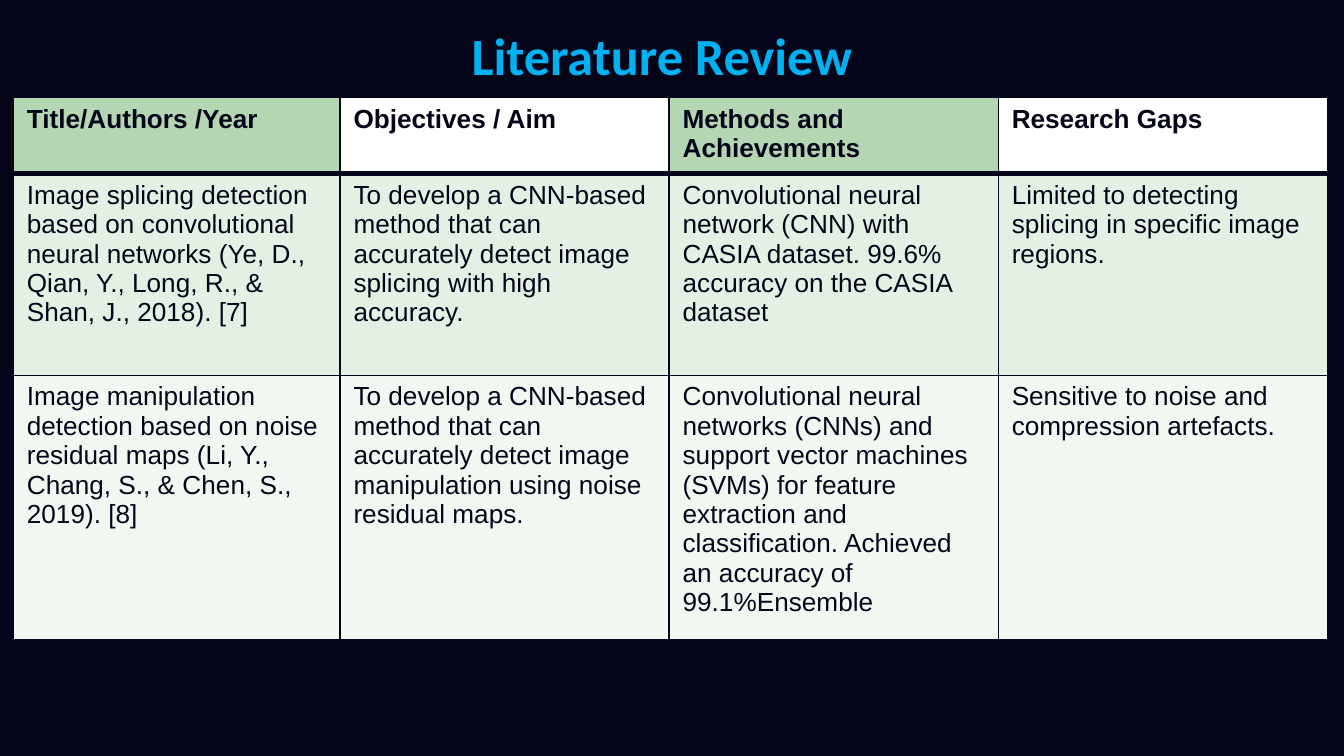
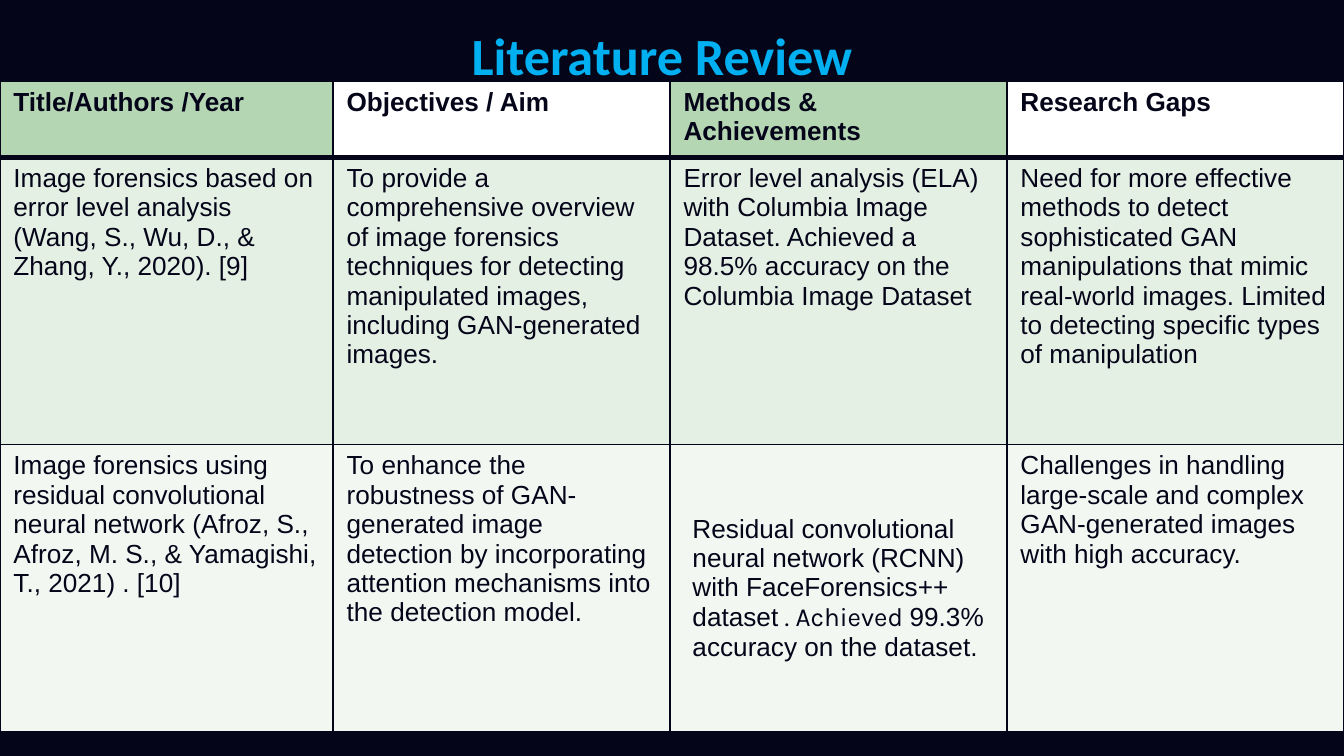
from dataclasses import dataclass

from lxml import etree
from pptx import Presentation, util as u
from pptx.dml.color import RGBColor
from pptx.enum import text
from pptx.oxml.ns import qn

Pt = u.Pt


@dataclass(frozen=True)
class Theme:
    ink: str = "05051A"
    title: str = "00B0F0"
    headers: tuple = ("B5D6B2", "FFFFFF")
    rows: tuple = ("E5F0E4", "F3F7F2")
    title_font: str = "Calibri"
    body_font: str = "Arial"
    accent_font: str = "Karla"
    title_size: int = 28
    body_size: int = 14
    thin: int = 1
    thick: int = 3


T = Theme()
TITLE_BOX = (31, 0, 647, 59)


def set_font(font, name, size, color, bold=False):
    font.name, font.size, font.bold = name, Pt(size), bold
    font.color.rgb = RGBColor.from_string(color)


def set_borders(cell, **widths):
    """Draw all four cell borders; widths maps a side (L, R, T, B) to points."""
    tc_pr = cell._tc.get_or_add_tcPr()
    for i, side in enumerate("LRTB"):
        ln = etree.Element(qn("a:ln" + side), w=str(Pt(widths.get(side, T.thin))))
        fill = etree.SubElement(ln, qn("a:solidFill"))
        etree.SubElement(fill, qn("a:srgbClr"), val=T.ink)
        tc_pr.insert(i, ln)


def add_title(s, box, title):
    sp = s.shapes.add_textbox(*map(Pt, box))
    tf = sp.text_frame
    tf.word_wrap = True
    tf.vertical_anchor = text.MSO_ANCHOR.MIDDLE
    tf.margin_left = tf.margin_right = tf.margin_top = tf.margin_bottom = Pt(7.2)
    p = tf.paragraphs[0]
    p.text = title
    p.alignment = text.PP_ALIGN.CENTER
    set_font(p.font, T.title_font, T.title_size, T.title, bold=True)


def fill_cell(cell, content, color, bold):
    """Write a string, or a list of (text, font name) runs set in an inset, centred block."""
    cell.fill.solid()
    cell.fill.fore_color.rgb = RGBColor.from_string(color)
    p = cell.text_frame.paragraphs[0]
    set_font(p.font, T.body_font, T.body_size, T.ink, bold)
    if isinstance(content, str):
        p.text = content
        return
    cell.vertical_anchor = text.MSO_ANCHOR.MIDDLE
    cell.margin_left = cell.margin_right = cell.margin_top = cell.margin_bottom = Pt(12)
    for words, font_name in content:
        r = p.add_run()
        r.text = words
        r.font.name = font_name


def add_review_table(s, box, first_col, header_height, data):
    """Fit the table to box: equal columns after the first, equal rows below the header."""
    n_rows, n_cols = len(data), len(data[0])
    width, height = box[2:]
    table = s.shapes.add_table(n_rows, n_cols, *map(Pt, box)).table
    table.first_row = table.horz_banding = False
    for c, col in enumerate(table.columns):
        col.width = Pt((width - first_col) / (n_cols - 1) if c else first_col)
    for i, row in enumerate(table.rows):
        row.height = Pt((height - header_height) / (n_rows - 1) if i else header_height)
        for c, cell in enumerate(row.cells):
            color = T.rows[(i - 1) % 2] if i else T.headers[c % 2]
            fill_cell(cell, data[i][c], color, bold=i == 0)
            set_borders(cell, **({"B": T.thick} if i == 0 else {"T": T.thick} if i == 1 else {}))


def add_review_slide(prs, box, first_col, header_height, methods_header, studies):
    s = prs.slides.add_slide(prs.slide_layouts[6])
    s.background.fill.solid()
    s.background.fill.fore_color.rgb = RGBColor.from_string(T.ink)
    add_title(s, TITLE_BOX, "Literature Review")
    header = ("Title/Authors /Year", "Objectives / Aim", methods_header, "Research Gaps")
    add_review_table(s, box, first_col, header_height, (header, *studies))


CNN_STUDIES = (
    ("Image splicing detection based on convolutional neural networks "
     "(Ye, D., Qian, Y., Long, R., & Shan, J., 2018). [7]",
     "To develop a CNN-based method that can accurately detect image splicing with high accuracy.",
     "Convolutional neural network (CNN) with CASIA dataset. 99.6% accuracy on the CASIA dataset",
     "Limited to detecting splicing in specific image regions."),
    ("Image manipulation detection based on noise residual maps "
     "(Li, Y., Chang, S., & Chen, S., 2019). [8]",
     "To develop a CNN-based method that can accurately detect image manipulation "
     "using noise residual maps.",
     "Convolutional neural networks (CNNs) and support vector machines (SVMs) for feature "
     "extraction and classification. Achieved an accuracy of 99.1%Ensemble",
     "Sensitive to noise and compression artefacts."),
)
FORENSICS_STUDIES = (
    ("Image forensics based on error level analysis (Wang, S., Wu, D., & Zhang, Y., 2020). [9]",
     "To provide a comprehensive overview of image forensics techniques for detecting "
     "manipulated images, including GAN-generated images.",
     "Error level analysis (ELA) with Columbia Image Dataset. Achieved a 98.5% accuracy "
     "on the Columbia Image Dataset",
     "Need for more effective methods to detect sophisticated GAN manipulations that mimic "
     "real-world images. Limited to detecting specific types of manipulation"),
    ("Image forensics using residual convolutional neural network "
     "(Afroz, S., Afroz, M. S., & Yamagishi, T., 2021) . [10]",
     "To enhance the robustness of GAN-generated image detection by incorporating "
     "attention mechanisms into the detection model.",
     [("Residual convolutional neural network (RCNN) with FaceForensics++ dataset", T.body_font),
      (" . Achieved ", T.accent_font),
      ("99.3% accuracy on the dataset.", T.body_font)],
     "Challenges in handling large-scale and complex GAN-generated images with high accuracy."),
)


def main():
    prs = Presentation()
    prs.slide_width, prs.slide_height = Pt(720), Pt(405)
    add_review_slide(prs, (7.2, 52.3, 704, 244), 175, 28, "Methods and Achievements", CNN_STUDIES)
    add_review_slide(prs, (0, 43.3, 720, 337.5), 178.5, 29.5, "Methods & Achievements",
                     FORENSICS_STUDIES)
    prs.save("out.pptx")


if __name__ == "__main__":
    main()
